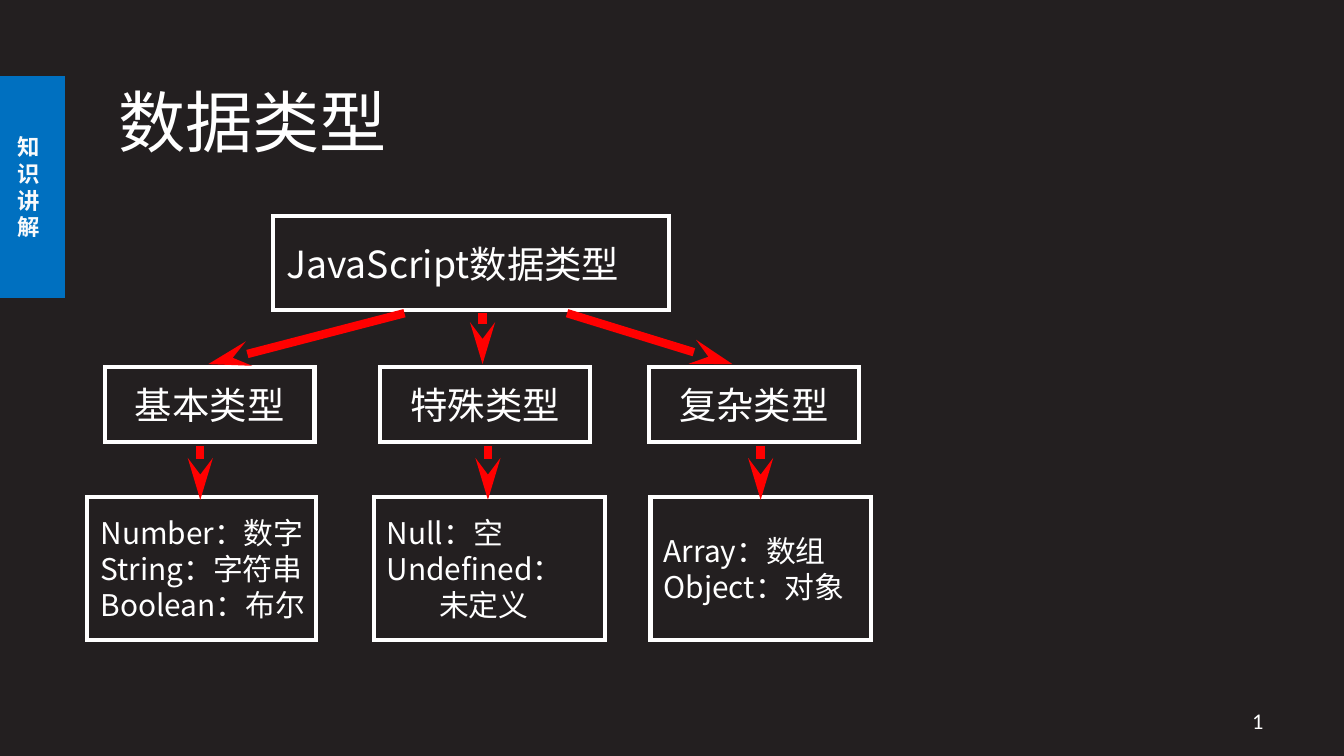
"""Build a slide showing the tree of JavaScript data types."""
import pptx
import pptx.dml.color
import pptx.enum.shapes
import pptx.enum.text
import pptx.oxml
import pptx.oxml.ns
import pptx.util
from lxml import etree

Pt = pptx.util.Pt
Align = pptx.enum.text.PP_ALIGN
color = pptx.dml.color.RGBColor.from_string
qn = pptx.oxml.ns.qn

THEME = {
    "background": "231F20", "white": "FFFFFF", "tab": "0070C0", "tab_text": "F9FAFB",
    "arrow": "FF0000", "font": "Noto Sans CJK SC", "number_font": "Calibri",
    "title": 36, "heading": 20, "detail": 16, "small": 12,
}


def write_text(shape, lines, size, align=Align.LEFT, font=THEME["font"],
               text_color=THEME["white"], bold=False, wrap=True, indents=None):
    """Fill a shape with one formatted paragraph per line."""
    frame = shape.text_frame
    frame.word_wrap = wrap
    frame.vertical_anchor = pptx.enum.text.MSO_ANCHOR.MIDDLE
    for index, line in enumerate(lines):
        paragraph = frame.paragraphs[0] if index == 0 else frame.add_paragraph()
        paragraph.alignment = align
        if indents and index in indents:
            paragraph._p.get_or_add_pPr().set("marL", str(Pt(indents[index])))
        run = paragraph.add_run()
        run.text = line
        run.font.size = Pt(size)
        run.font.bold = bold
        run.font.name = font
        run.font.color.rgb = color(text_color)
        etree.SubElement(run._r.get_or_add_rPr(), qn("a:ea"), typeface=font)


def add_box(left, top, width, height, fill=None, line=THEME["white"], line_width=2.25):
    """Add a rectangle with a square-cornered outline and an optional fill."""
    shape = slide.shapes.add_shape(pptx.enum.shapes.MSO_SHAPE.RECTANGLE,
                                   Pt(left), Pt(top), Pt(width), Pt(height))
    shape.shadow.inherit = False
    if fill:
        shape.fill.solid()
        shape.fill.fore_color.rgb = color(fill)
    else:
        shape.fill.background()
    shape.line.color.rgb = color(line)
    shape.line.width = Pt(line_width)
    etree.SubElement(shape.line._get_or_add_ln(), qn("a:miter"), lim="800000")
    return shape


presentation = pptx.Presentation()
presentation.slide_width = Pt(720)
presentation.slide_height = Pt(405)
slide = presentation.slides.add_slide(presentation.slide_layouts[6])
slide.background.fill.solid()
slide.background.fill.fore_color.rgb = color(THEME["background"])

tab = add_box(-3.6, 41, 38.2, 118.1, THEME["tab"], THEME["tab"], 0.75)
write_text(tab, "知识讲解", THEME["small"], align=Align.CENTER,
           text_color=THEME["tab_text"], bold=True)

title = slide.shapes.add_textbox(Pt(56.2), Pt(33.8), Pt(444.2), Pt(62))
write_text(title, ["数据类型"], THEME["title"])
number = slide.shapes.add_textbox(Pt(516.2), Pt(375.1), Pt(167.8), Pt(21.6))
write_text(number, ["1"], THEME["small"], align=Align.RIGHT, font=THEME["number_font"])

root = add_box(146.2, 115.9, 212.4, 50.4)
write_text(root, ["JavaScript数据类型"], THEME["heading"], wrap=False)

branches = [
    {"name": "基本类型", "left": 56.2, "detail_left": 46.8, "detail_width": 122.4,
     "details": ["Number：数字", "String：字符串", "Boolean：布尔"], "indents": None,
     "from_root": (216.7, 111.6), "down": 107.3},
    {"name": "特殊类型", "left": 203.8, "detail_left": 200.2, "detail_width": 123.8,
     "details": ["Null：空", "Undefined：", "未定义"], "indents": {2: 28},
     "from_root": (258.5, 258.5), "down": 261.4},
    {"name": "复杂类型", "left": 347.8, "detail_left": 348.5, "detail_width": 118.1,
     "details": ["Array：数组", "Object：对象"], "indents": None,
     "from_root": (303.8, 392.4), "down": 407.5},
]
for branch in branches:
    heading = add_box(branch["left"], 196.6, 112.3, 40.3)
    write_text(heading, [branch["name"]], THEME["heading"], align=Align.CENTER, wrap=False)
    detail = add_box(branch["detail_left"], 266.4, branch["detail_width"], 76.3)
    write_text(detail, branch["details"], THEME["detail"], wrap=False,
               indents=branch["indents"])
    start, end = branch["from_root"]
    down = branch["down"]
    for x1, y1, x2, y2 in [(start, 167.8, end, 195.1), (down, 239, down, 267.8)]:
        arrow = slide.shapes.add_connector(pptx.enum.shapes.MSO_CONNECTOR.STRAIGHT,
                                           Pt(x1), Pt(y1), Pt(x2), Pt(y2))
        arrow.line.color.rgb = color(THEME["arrow"])
        arrow.line.width = Pt(4.5)
        etree.SubElement(arrow.line._get_or_add_ln(), qn("a:tailEnd"),
                         type="stealth", len="lg")
        etree.SubElement(arrow._element.spPr, qn("a:effectLst"))

presentation.save("out.pptx")
